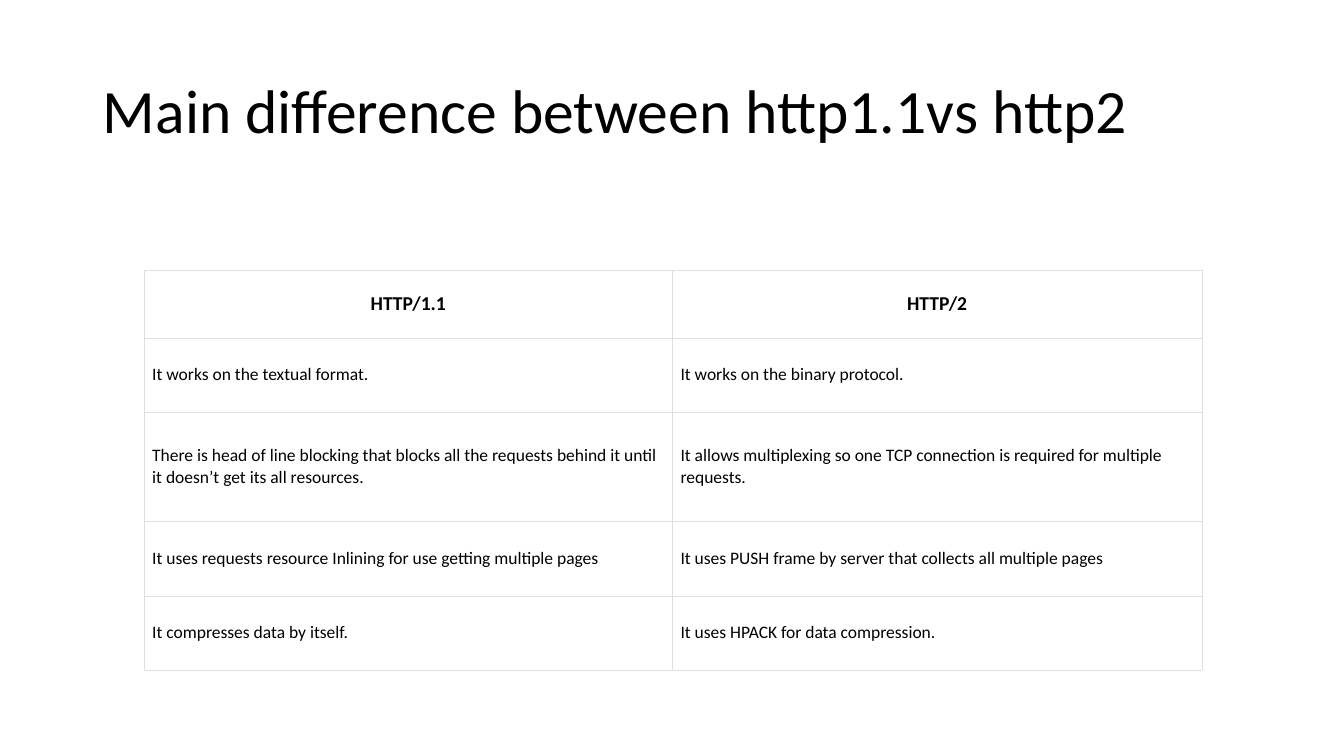
from dataclasses import dataclass

from lxml.etree import SubElement
from pptx import Presentation
from pptx.dml.color import RGBColor
from pptx.enum.text import MSO_ANCHOR as ANCHOR, PP_ALIGN as ALIGN
from pptx.oxml.ns import qn
from pptx.util import Inches, Pt


@dataclass(frozen=True)
class Theme:
    font: str = "Calibri"
    text: str = "000000"
    paper: str = "FFFFFF"
    border: str = "DFDFDF"
    border_width: float = 0.18
    title_size: float = 44
    header_size: float = 14
    body_size: float = 12.5


THEME = Theme()

ROWS = [
    ("HTTP/1.1", "HTTP/2"),
    ("It works on the textual format.", "It works on the binary protocol."),
    ("There is head of line blocking that blocks all the requests behind it "
     "until it doesn’t get its all resources.",
     "It allows multiplexing so one TCP connection is required for multiple "
     "requests."),
    ("It uses requests resource Inlining for use getting multiple pages",
     "It uses PUSH frame by server that collects all multiple pages"),
    ("It compresses data by itself.", "It uses HPACK for data compression."),
]
COL_WIDTHS = (5.24, 5.25)
ROW_HEIGHTS = (0.67, 0.74, 1.08, 0.74, 0.74)


def set_attrs(obj, values):
    for name, value in values.items():
        setattr(obj, name, value)


def write_text(tf, text, size, bold=False, align=ALIGN.LEFT, spacing=1.0):
    p = tf.paragraphs[0]
    set_attrs(p, {"alignment": align, "line_spacing": spacing})
    r = p.add_run()
    r.text = text
    set_attrs(r.font, {"name": THEME.font, "size": Pt(size), "bold": bold})
    r.font.color.rgb = RGBColor.from_string(THEME.text)


def add_title(s, text):
    sp = s.shapes.title
    set_attrs(sp, {"left": Inches(0.92), "top": Inches(0.4),
                   "width": Inches(11.5), "height": Inches(1.45)})
    tf = sp.text_frame
    set_attrs(tf, {"vertical_anchor": ANCHOR.MIDDLE, "word_wrap": True})
    write_text(tf, text, THEME.title_size, spacing=0.9)


def add_borders(cell):
    tc_pr = cell._tc.get_or_add_tcPr()
    for i, side in enumerate(("lnL", "lnR", "lnT", "lnB")):
        ln = SubElement(tc_pr, qn(f"a:{side}"), w=str(Pt(THEME.border_width)))
        fill = SubElement(ln, qn("a:solidFill"))
        SubElement(fill, qn("a:srgbClr"), val=THEME.border)
        tc_pr.insert(i, ln)  # borders come before the cell fill


def format_cell(cell, text, is_header):
    pad = Inches(0.08)
    pad_y = pad if is_header else Inches(0.12)
    set_attrs(cell, {"vertical_anchor": ANCHOR.MIDDLE,
                     "margin_left": pad, "margin_right": pad,
                     "margin_top": pad_y, "margin_bottom": pad_y})
    cell.fill.solid()
    cell.fill.fore_color.rgb = RGBColor.from_string(THEME.paper)
    add_borders(cell)
    write_text(cell.text_frame, text,
               THEME.header_size if is_header else THEME.body_size,
               bold=is_header, align=ALIGN.CENTER if is_header else ALIGN.LEFT)


def add_comparison(s, rows):
    frame = s.shapes.add_table(len(rows), len(COL_WIDTHS),
                               Inches(1.43), Inches(2.68),
                               Inches(sum(COL_WIDTHS)), Inches(sum(ROW_HEIGHTS)))
    table = frame.table
    table.horz_banding = False
    for col, width in zip(table.columns, COL_WIDTHS):
        col.width = Inches(width)
    for i, (row, height) in enumerate(zip(table.rows, ROW_HEIGHTS)):
        row.height = Inches(height)
        for cell, text in zip(row.cells, rows[i]):
            format_cell(cell, text, is_header=i == 0)


def main():
    prs = Presentation()
    set_attrs(prs, {"slide_width": Inches(13.33), "slide_height": Inches(7.5)})
    s = prs.slides.add_slide(prs.slide_layouts[5])  # Title Only

    # Heading
    add_title(s, "Main difference between http1.1vs http2")

    # Protocol comparison
    add_comparison(s, ROWS)

    prs.save("out.pptx")


if __name__ == "__main__":
    main()
